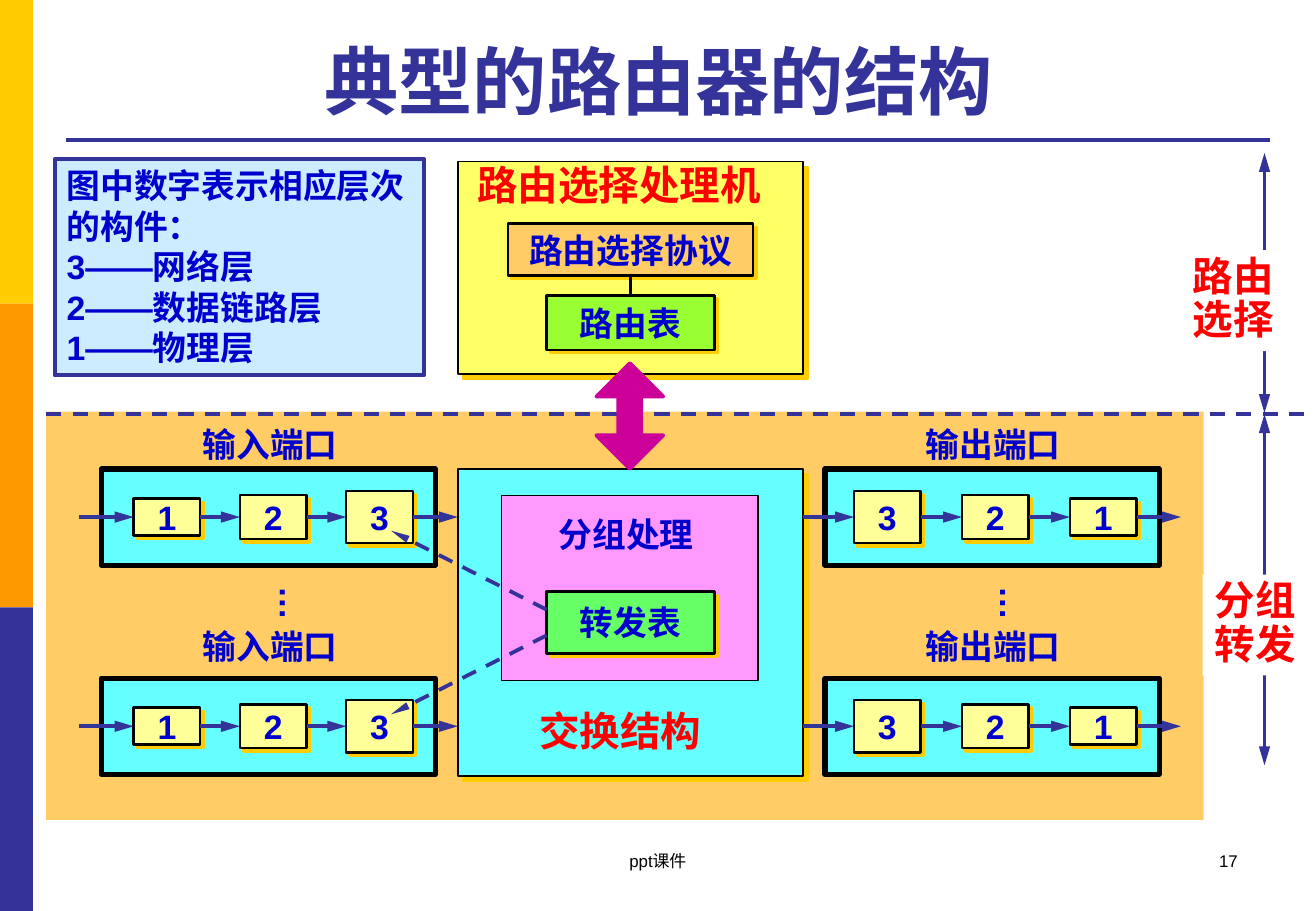
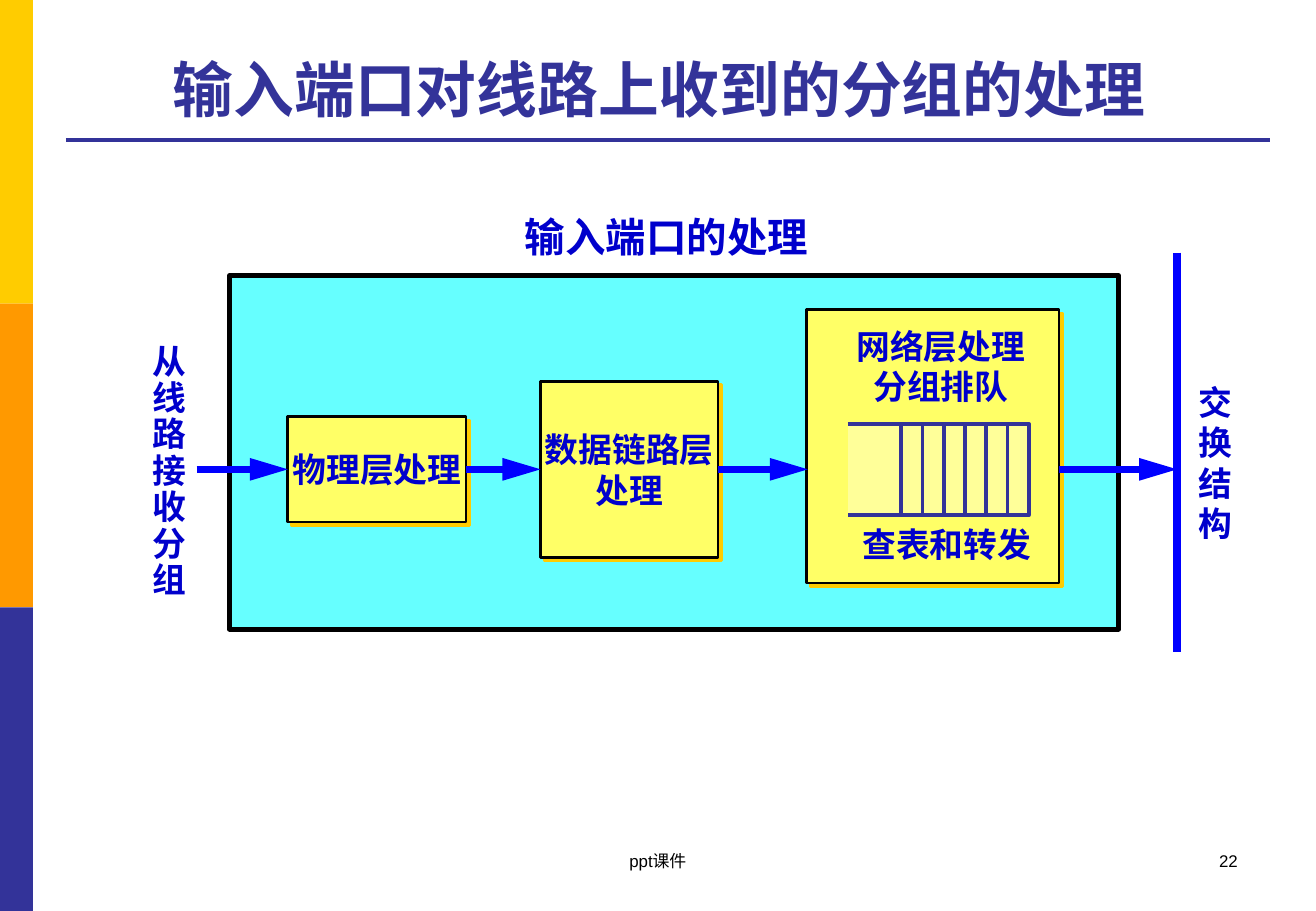
from lxml import etree
from pptx import Presentation
from pptx.dml.color import RGBColor
from pptx.enum import dml, lang, shapes, text
from pptx.oxml import ns
from pptx.util import Pt

FONT = "Arial"
NAVY = RGBColor(0x33, 0x33, 0x99)
GOLD = RGBColor(0xFF, 0xCC, 0x00)
ORANGE = RGBColor(0xFF, 0x99, 0x00)
SAND = RGBColor(0xFF, 0xCC, 0x66)
YELLOW = RGBColor(0xFF, 0xFF, 0x66)
PALE_YELLOW = RGBColor(0xFF, 0xFF, 0x99)
CYAN = RGBColor(0x66, 0xFF, 0xFF)
PALE_BLUE = RGBColor(0xCC, 0xEC, 0xFF)
PINK = RGBColor(0xFF, 0x99, 0xFF)
LIME = RGBColor(0x99, 0xFF, 0x33)
GREEN = RGBColor(0x66, 0xFF, 0x66)
MAGENTA = RGBColor(0xCC, 0x00, 0x99)
BLUE = RGBColor(0x00, 0x00, 0xCC)
BRIGHT_BLUE = RGBColor(0x00, 0x00, 0xFF)
RED = RGBColor(0xFF, 0x00, 0x00)
BLACK = RGBColor(0x00, 0x00, 0x00)
WHITE = RGBColor(0xFF, 0xFF, 0xFF)

LEFT, CENTER, RIGHT = text.PP_ALIGN.LEFT, text.PP_ALIGN.CENTER, text.PP_ALIGN.RIGHT
TOP, MIDDLE, BOTTOM = text.MSO_ANCHOR.TOP, text.MSO_ANCHOR.MIDDLE, text.MSO_ANCHOR.BOTTOM
RECTANGLE = shapes.MSO_SHAPE.RECTANGLE
TOP_SIDE, LEFT_SIDE, BOTTOM_SIDE, RIGHT_SIDE = range(4)
BOX_WIDTH = 39.5
BOX_HEIGHTS = {"1": 22, "2": 26, "3": 31}


# Elements
def write_text(shape, content, size=20, color=BLUE, bold=True, align=LEFT,
               anchor=TOP, wrap=False, spacing=None):
    frame = shape.text_frame
    frame.word_wrap = wrap
    frame.vertical_anchor = anchor
    for index, line in enumerate(content.split("\n")):
        paragraph = frame.paragraphs[0] if index == 0 else frame.add_paragraph()
        paragraph.alignment = align
        if spacing:
            paragraph.line_spacing = spacing
        run = paragraph.add_run()
        run.text = line
        run.font.name = FONT
        run.font.size = Pt(size)
        run.font.bold = bold
        run.font.color.rgb = color
        run.font.language_id = lang.MSO_LANGUAGE_ID.SIMPLIFIED_CHINESE


def add_label(slide, content, left, top, width, height, rotation=0, grow=True, **style):
    label = slide.shapes.add_textbox(Pt(left), Pt(top), Pt(width), Pt(height))
    write_text(label, content, **style)
    label.rotation = rotation
    if grow:
        label.text_frame.auto_size = text.MSO_AUTO_SIZE.SHAPE_TO_FIT_TEXT
    return label


def paint(shape, fill, line=None, line_width=1.5):
    shape.shadow.inherit = False
    shape.fill.solid()
    shape.fill.fore_color.rgb = fill
    if line is None:
        shape.line.fill.background()
    else:
        shape.line.color.rgb = line
        shape.line.width = Pt(line_width)


def add_block(slide, left, top, width, height, fill, line=None, line_width=1.5,
              shadow=0, kind=RECTANGLE):
    block = slide.shapes.add_shape(kind, Pt(left), Pt(top), Pt(width), Pt(height))
    paint(block, fill, line, line_width)
    if shadow:
        effects = block.element.spPr.find(ns.qn("a:effectLst"))
        outer = etree.SubElement(effects, ns.qn("a:outerShdw"), dist=str(Pt(shadow)),
                                 dir="2700000", algn="ctr", rotWithShape="0")
        etree.SubElement(outer, ns.qn("a:srgbClr"), val=str(GOLD))
    return block


def add_box(slide, content, left, top, width, height, fill):
    box = add_block(slide, left, top, width, height, fill, BLACK, shadow=2.8)
    if content:
        write_text(box, content, align=CENTER, anchor=MIDDLE)
    return box


def add_line(slide, start, end, color=NAVY, width=2.25, dashed=False, ends=(),
             head_width="med", source=None, target=None):
    """source and target are shapes joined at the right / left side."""
    line = slide.shapes.add_connector(
        shapes.MSO_CONNECTOR.STRAIGHT, *(Pt(value) for value in (*start, *end)))
    line.line.color.rgb = color
    line.line.width = Pt(width)
    if dashed:
        line.line.dash_style = dml.MSO_LINE.DASH
    properties = line.element.spPr
    for name in ends:
        etree.SubElement(properties.find(ns.qn("a:ln")), ns.qn(f"a:{name}"),
                         type="triangle", w=head_width, len="lg")
    etree.SubElement(properties, ns.qn("a:effectLst"))
    if source is not None:
        line.begin_connect(source, RIGHT_SIDE)
    if target is not None:
        line.end_connect(target, LEFT_SIDE)
    return line


def add_arrow(slide, start, end, **style):
    return add_line(slide, start, end, ends=("tailEnd",), **style)


# Shared frame
def titled_slide(presentation, title, size, number):
    slide = presentation.slides.add_slide(presentation.slide_layouts[5])
    holder = slide.shapes.title
    holder.left, holder.top, holder.width, holder.height = Pt(33.5), Pt(15), Pt(714), Pt(62.5)
    write_text(holder, title, size=size, color=NAVY, align=CENTER, anchor=BOTTOM, wrap=True)
    footer = dict(size=10, color=BLACK, bold=False, wrap=True, grow=False)
    add_label(slide, number, 558.7, 500.4, 182, 36, align=RIGHT, **footer)
    add_label(slide, "ppt课件", 266.4, 500.4, 247, 36, align=CENTER, **footer)
    return slide


def share_frame(slide):
    """Put the side bands and the title rule on the layout of the slide."""
    layout = slide.slide_layout
    for holder in list(layout.placeholders)[1:]:
        layout.shapes.element.remove(holder.element)
    parts = [add_block(slide, 0, 180 * index, 19.6, 180, color)
             for index, color in enumerate((GOLD, ORANGE, NAVY))]
    parts.append(add_line(slide, (39, 82.8), (753, 82.8)))
    for part in parts:
        layout.shapes.element.append(part.element)


# Slide: router structure
def add_port(slide, panel_left, center, digits, first_left, step, start, end):
    add_block(slide, panel_left, center - 28.5, 198, 57, CYAN, BLACK, 3)
    boxes = []
    for index, digit in enumerate(digits):
        height = BOX_HEIGHTS[digit]
        boxes.append(add_box(slide, digit, first_left + step * index,
                             center - height / 2, BOX_WIDTH, height, PALE_YELLOW))
    for source, target in zip([None, *boxes], [*boxes, None]):
        add_arrow(slide, (start, center), (end, center), source=source, target=target)


def build_router(slide):
    add_block(slide, 27.4, 244, 686, 242, SAND)

    # Routing processor
    add_block(slide, 271.4, 95.8, 204.5, 126, YELLOW, BLACK, 1, shadow=4.2)
    add_label(slide, "路由选择处理机", 275.8, 91.4, 184.3, 36, size=24, color=RED)
    protocol = add_box(slide, "路由选择协议", 301, 132.5, 145.4, 31, SAND)
    table = add_box(slide, "路由表", 324, 175, 99.4, 32.4, LIME)
    link = add_line(slide, (373.7, 163.5), (373.7, 175), color=BLACK)
    link.begin_connect(protocol, BOTTOM_SIDE)
    link.end_connect(table, TOP_SIDE)

    # Switching fabric
    add_block(slide, 271.4, 278, 204.5, 182, CYAN, BLACK, 1, shadow=4.2)
    add_label(slide, "交换结构", 312.5, 414.7, 111.6, 36, size=24, color=RED)
    add_block(slide, 297.4, 293.8, 152, 109.4, PINK, BLACK, 0.75)
    add_label(slide, "分组处理", 324, 301, 95, 31.7)
    add_box(slide, "转发表", 324, 350.6, 99.4, 36.7, GREEN)

    # Ports
    for center, label_top in ((306.5, 247.7), (430.5, 367.2)):
        add_port(slide, 60, center, "123", 79.2, 63, 46.8, 271.4)
        add_port(slide, 489, center, "321", 506.2, 64, 475.9, 700)
        add_label(slide, "输入端口", 113, label_top, 95, 31.7)
        add_label(slide, "输出端口", 541.5, label_top, 95, 31.7)
    for left in (156.2, 583.2):
        add_label(slide, "…", left, 342, 34.6, 31.7, rotation=90)
    for start, end in ((361.4, 314.6), (376.6, 423.4)):
        add_arrow(slide, (324, start), (231.8, end), dashed=True, head_width="sm")

    # Division of functions
    add_line(slide, (27.4, 245.5), (779, 245.5), dashed=True)
    for content, left, top, start, end in (
            ("路由\n选择", 700, 148.3, 90.7, 244.8),
            ("分组\n转发", 712.8, 340.6, 245.5, 453.6)):
        add_line(slide, (749.5, start), (749.5, end), ends=("headEnd", "tailEnd"))
        label = add_block(slide, left, top, 63.4, 59.8, WHITE)
        write_text(label, content, size=24, color=RED, spacing=0.9)
    arrow = add_block(slide, 353.5, 215.3, 39.6, 62.6, MAGENTA, MAGENTA, 2.25,
                      kind=shapes.MSO_SHAPE.UP_DOWN_ARROW)
    arrow.adjustments[0] = 0.5
    arrow.adjustments[1] = 0.342

    legend = add_block(slide, 32.4, 94.3, 219, 128.2, PALE_BLUE, NAVY, 2.25)
    write_text(legend, "图中数字表示相应层次的构件：\n3——网络层\n2——数据链路层\n1——物理层",
               wrap=True)


# Slide: input port processing
def add_queue(slide, left, top, right, bottom):
    builder = slide.shapes.build_freeform(Pt(left), Pt(top))
    corners = ((right, top), (right, bottom), (left, bottom))
    builder.add_line_segments([(Pt(x), Pt(y)) for x, y in corners], close=False)
    paint(builder.convert_to_shape(), PALE_YELLOW, NAVY, 2.25)
    for index in range(1, 7):
        x = right - 12.6 * index
        add_line(slide, (x, top), (x, bottom))


def build_input_port(slide):
    add_block(slide, 136, 163.4, 527, 209.5, CYAN, BLACK, 3)
    add_label(slide, "输入端口的处理", 304, 122.4, 182.4, 36, size=24)

    # Processing stages
    row = 278.2
    physical = add_box(slide, "物理层处理", 170.6, row - 31.3, 105.8, 62.6, YELLOW)
    data_link = add_box(slide, "数据链路层\n处理", 320.4, row - 52.2, 105.2, 104.4, YELLOW)
    add_box(slide, "", 478, 183.6, 149.8, 162, YELLOW)
    flow = dict(color=BRIGHT_BLUE, width=4.5)
    for start, end, source, target in (
            (116.6, 170.6, None, physical), (276.4, 320.4, physical, data_link),
            (425.6, 478.8, data_link, None), (627.8, 697.7, None, None)):
        add_arrow(slide, (start, row), (end, row), source=source, target=target, **flow)
    add_line(slide, (697.7, 149.8), (697.7, 386.6), **flow)

    # Network layer queue
    add_queue(slide, 502.6, 251.3, 609.8, 305.3)
    add_label(slide, "网络层处理\n分组排队", 499.7, 189.4, 116, 55.4, align=CENTER)
    add_label(slide, "查表和转发", 504, 306.7, 115.2, 31.7)

    # Both ends of the path
    add_label(slide, "\n".join("从线路接收分组"), 83.5, 200.9, 34.6, 159.8, spacing=0.9)
    add_label(slide, "\n".join("交换结构"), 703.4, 222.5, 34.6, 104.4)


def main():
    presentation = Presentation()
    presentation.slide_width, presentation.slide_height = Pt(780), Pt(540)
    router = titled_slide(presentation, "典型的路由器的结构", 44, "17")
    share_frame(router)
    build_router(router)
    build_input_port(titled_slide(presentation, "输入端口对线路上收到的分组的处理", 36, "22"))
    presentation.save("out.pptx")


if __name__ == "__main__":
    main()
